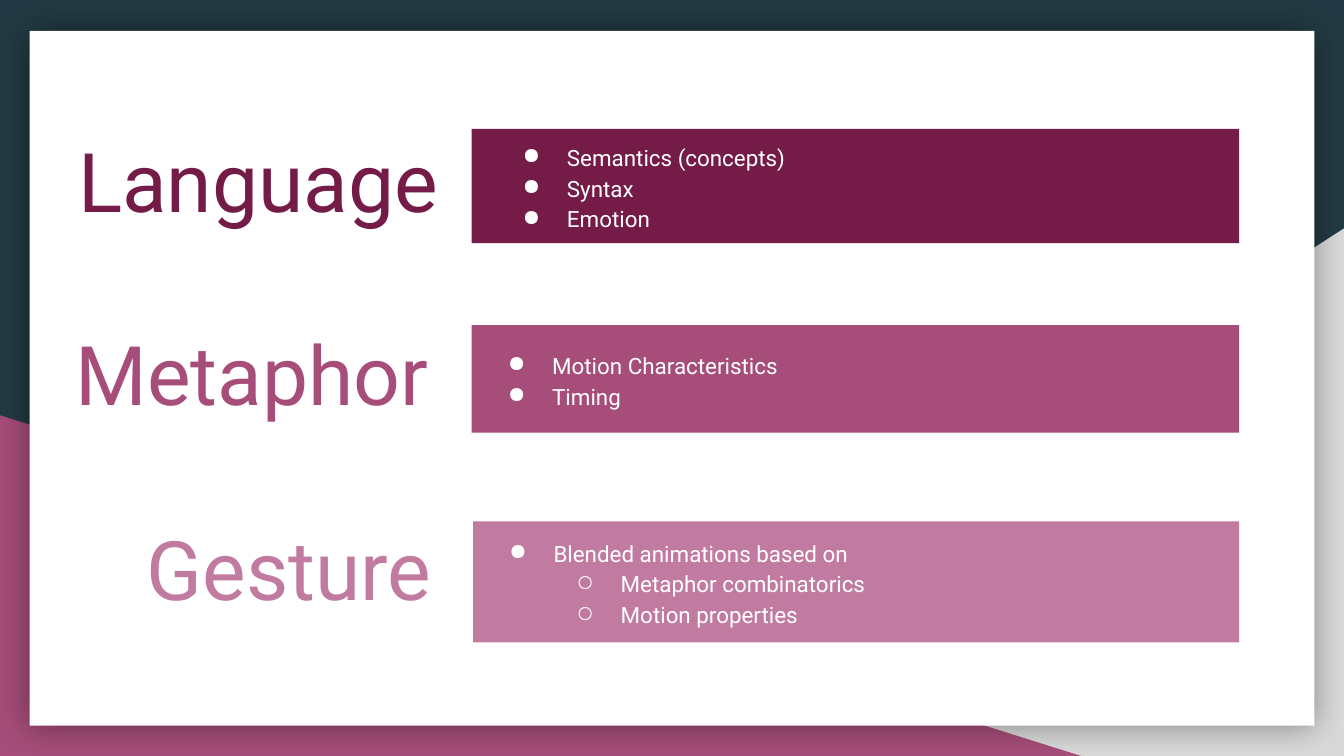
from lxml import etree
from pptx import Presentation
from pptx.dml.color import RGBColor
from pptx.enum.shapes import MSO_SHAPE as Shape
from pptx.enum.text import MSO_ANCHOR as Anchor, PP_ALIGN as Align
from pptx.oxml import parse_xml
from pptx.oxml.ns import qn
from pptx.util import Inches, Pt

WIDTH = 10
HEIGHT = WIDTH * 9 / 16
FONT = "Roboto"
COLORS = {
    "navy": "233A44", "gray": "D9D9D9", "white": "FFFFFF",
    "plum": "741B47", "berry": "A64D79", "pink": "C27BA0",
}

# Each list item is (level, text); label and list boxes give (left, width, height).
ROWS = [
    {"label": "Language", "color": "plum", "band": (3.51, 0.85),
     "label_box": (0.39, 2.97, 0.73), "list_box": (3.62, 5.21, 0.67),
     "items": [(0, "Semantics (concepts)"), (0, "Syntax"), (0, "Emotion")]},
    {"label": "Metaphor", "color": "berry", "band": (3.51, 0.8),
     "label_box": (0.26, 3.03, 0.69), "list_box": (3.51, 5.31, 0.36),
     "items": [(0, "Motion Characteristics"), (0, "Timing")]},
    {"label": "Gesture", "color": "pink", "band": (3.52, 0.9), "label_shift": -0.06,
     "label_box": (0.83, 2.48, 0.77), "list_box": (3.52, 4.21, 0.41),
     "items": [(0, "Blended animations based on"),
               (1, "Metaphor combinatorics"), (1, "Motion properties")]},
]
FIRST_ROW, ROW_PITCH = 0.96, 1.46
BAND_RIGHT = 9.22
BULLETS = "●○"


def rgb(name):
    return RGBColor.from_string(COLORS[name])


def add_block(shapes, kind, box, color):
    shape = shapes.add_shape(kind, *map(Inches, box))
    shape.shadow.inherit = False
    shape.fill.solid()
    shape.fill.fore_color.rgb = rgb(color)
    shape.line.fill.background()
    return shape


def add_glow(shape):
    """Give the shape a soft black shadow on all sides."""
    effects = shape.element.spPr.find(qn("a:effectLst"))
    effects.append(parse_xml(
        '<a:outerShdw xmlns:a="http://schemas.openxmlformats.org/drawingml/2006/main"'
        f' blurRad="{Pt(18)}" dist="0" algn="ctr" rotWithShape="0">'
        '<a:srgbClr val="000000"><a:alpha val="40000"/></a:srgbClr></a:outerShdw>'))


def add_bullet(paragraph, level, color):
    paragraph.level = level
    properties = paragraph._p.get_or_add_pPr()
    properties.set("marL", str(Inches(0.5 * (level + 1))))
    properties.set("indent", str(Inches(-0.33)))
    bullet_color = etree.SubElement(properties, qn("a:buClr"))
    etree.SubElement(bullet_color, qn("a:srgbClr"), val=COLORS[color])
    etree.SubElement(properties, qn("a:buChar"), char=BULLETS[level])


def add_text(shapes, box, items, *, size, color, spacing, align=Align.LEFT, bullets=False):
    frame = shapes.add_textbox(*map(Inches, box)).text_frame
    frame.word_wrap = True
    frame.vertical_anchor = Anchor.MIDDLE
    for index, (level, text) in enumerate(items):
        paragraph = frame.add_paragraph() if index else frame.paragraphs[0]
        if bullets:
            add_bullet(paragraph, level, color)
        paragraph.alignment = align
        paragraph.line_spacing = spacing
        run = paragraph.add_run()
        run.text = text
        run.font.name = FONT
        run.font.size = Pt(size)
        run.font.color.rgb = rgb(color)


def centered(box, middle):
    left, width, height = box
    return left, middle - height / 2, width, height


def add_backdrop(slide):
    slide.background.fill.solid()
    slide.background.fill.fore_color.rgb = rgb("navy")
    corner = add_block(slide.shapes, Shape.RIGHT_TRIANGLE, (3.92, 1.7, 6.08, 3.93), "gray")
    corner.element.spPr.xfrm.set("flipH", "1")
    add_block(slide.shapes, Shape.RIGHT_TRIANGLE, (0, 3.09, 8.06, 2.54), "berry")
    add_glow(add_block(slide.shapes, Shape.RECTANGLE, (0.22, 0.23, 9.56, 5.17), "white"))


def add_row(slide, index, row):
    left, height = row["band"]
    top = FIRST_ROW + index * ROW_PITCH
    middle = top + height / 2
    shapes = slide.shapes.add_group_shape().shapes
    add_text(shapes, centered(row["label_box"], middle + row.get("label_shift", 0)),
             [(0, row["label"])], size=44, color=row["color"], spacing=0.9, align=Align.RIGHT)
    add_block(shapes, Shape.RECTANGLE, (left, top, BAND_RIGHT - left, height), row["color"])
    add_text(shapes, centered(row["list_box"], middle), row["items"],
             size=12, color="white", spacing=1.15, bullets=True)


def main():
    presentation = Presentation()
    presentation.slide_width, presentation.slide_height = Inches(WIDTH), Inches(HEIGHT)
    slide = presentation.slides.add_slide(presentation.slide_layouts[6])
    add_backdrop(slide)
    for index, row in enumerate(ROWS):
        add_row(slide, index, row)
    presentation.save("out.pptx")


if __name__ == "__main__":
    main()
